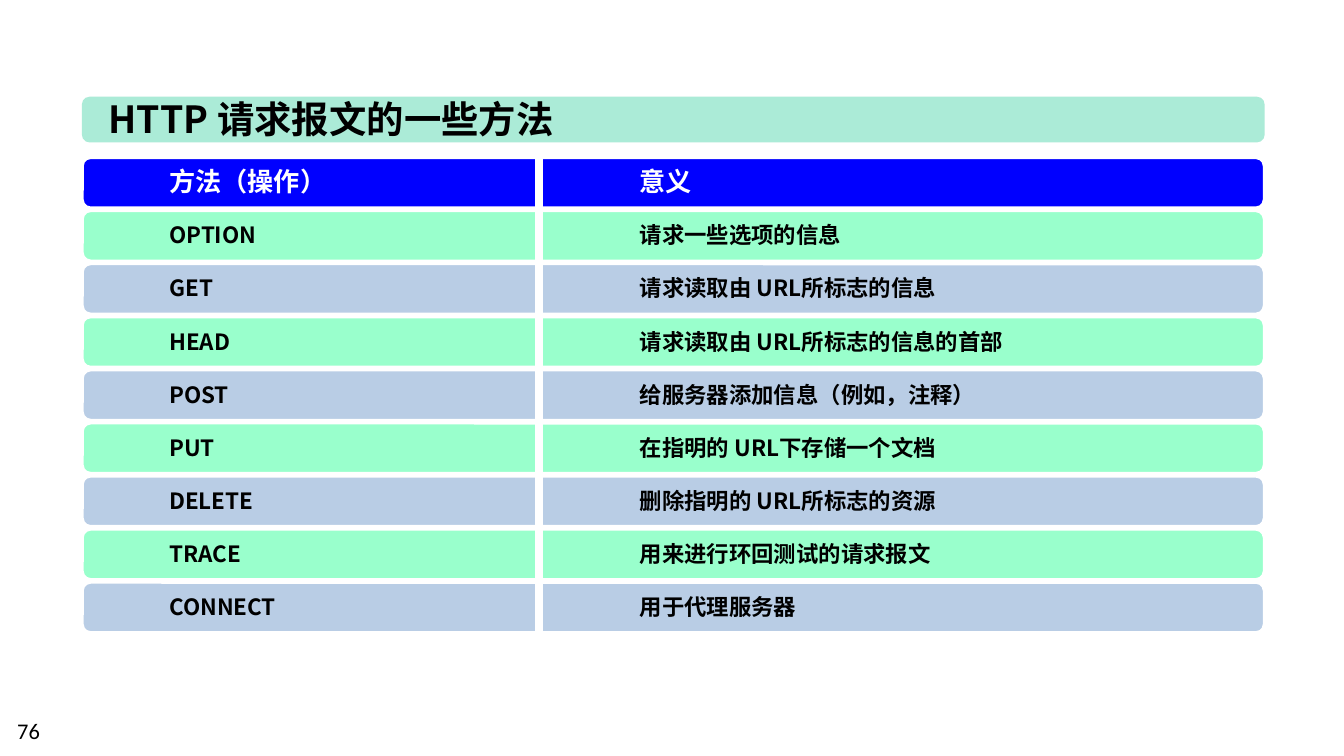
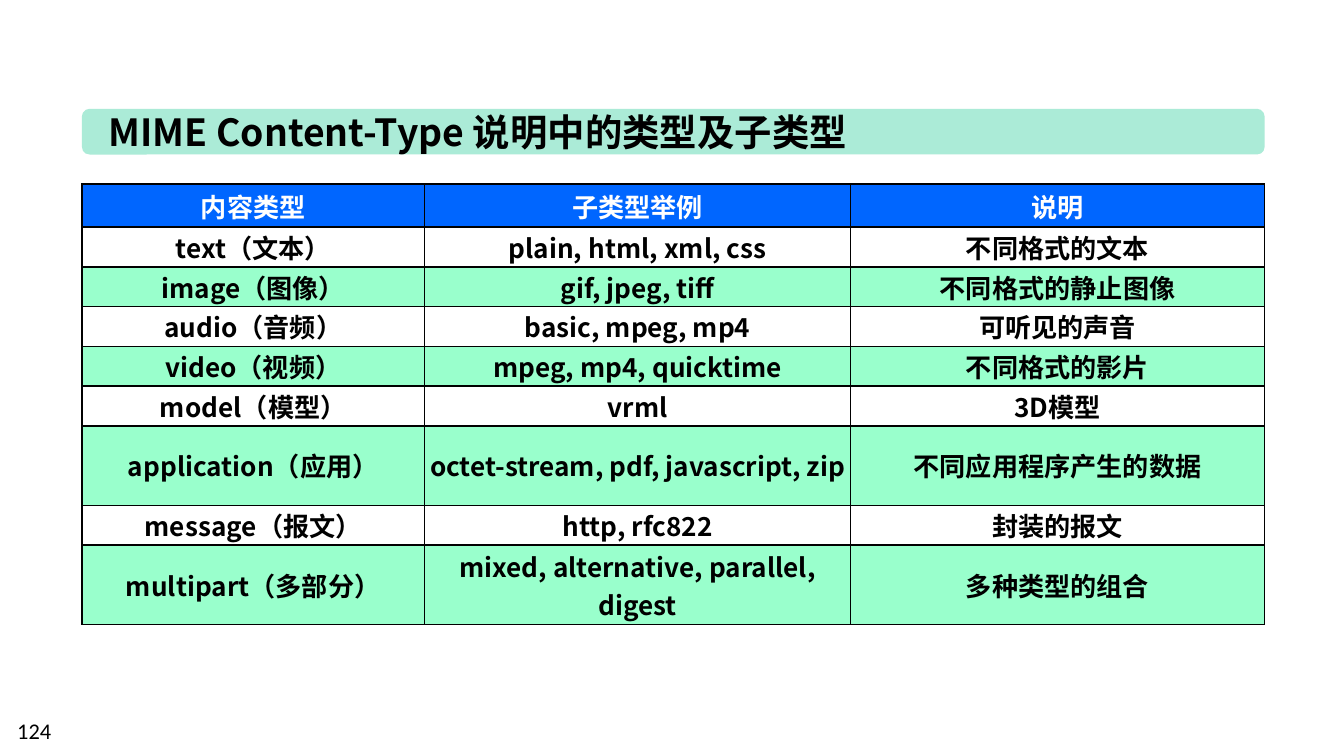
from dataclasses import dataclass

from lxml import etree
from pptx import Presentation
from pptx.dml.color import RGBColor
from pptx.enum import shapes, text
from pptx.oxml import ns
from pptx.util import Inches, Pt

# Content
METHODS = {
    "title": "HTTP 请求报文的一些方法",
    "page": "76",
    "rows": [
        ("方法（操作）", "意义"),
        ("OPTION", "请求一些选项的信息"),
        ("GET", "请求读取由 URL所标志的信息"),
        ("HEAD", "请求读取由 URL所标志的信息的首部"),
        ("POST", "给服务器添加信息（例如，注释）"),
        ("PUT", "在指明的 URL下存储一个文档"),
        ("DELETE", "删除指明的 URL所标志的资源"),
        ("TRACE", "用来进行环回测试的请求报文"),
        ("CONNECT", "用于代理服务器"),
    ],
}
TYPES = {
    "title": "MIME Content-Type 说明中的类型及子类型",
    "page": "124",
    "rows": [
        ("内容类型", "子类型举例", "说明"),
        ("text（文本）", "plain, html, xml, css", "不同格式的文本"),
        ("image（图像）", "gif, jpeg, tiff", "不同格式的静止图像"),
        ("audio（音频）", "basic, mpeg, mp4", "可听见的声音"),
        ("video（视频）", "mpeg, mp4, quicktime", "不同格式的影片"),
        ("model（模型）", "vrml", "3D模型"),
        ("application（应用）", "octet-stream, pdf, javascript, zip",
         "不同应用程序产生的数据"),
        ("message（报文）", "http, rfc822", "封装的报文"),
        ("multipart（多部分）", "mixed, alternative, parallel, digest",
         "多种类型的组合"),
    ],
}


@dataclass(frozen=True)
class Theme:
    font: str = "Noto Sans CJK SC"
    foot: str = "Calibri"
    black: str = "000000"
    white: str = "FFFFFF"
    band: str = "ABEBD7"
    head: str = "0000FF"
    top: str = "0066FF"
    mint: str = "99FFCC"
    blue: str = "B9CDE5"
    big: int = 20
    mid: int = 14
    small: int = 12


T = Theme()
LEFT, WIDTH = 0.61, 8.8
# Rows of bars: first and last top set the pitch
ROW_TOP, ROW_END, ROW_H = 1.17, 4.33, 0.38
PITCH = (ROW_END - ROW_TOP) / (len(METHODS["rows"]) - 1)
TABS = (0.58, 4.08)
# Table: a tall row is two lines high
COLS = (2.55, 3.17, 3.08)
GRID_H, HEAD_H = 3.28, 0.32
LINES = (1, 1, 1, 1, 1, 2, 1, 2)
LINE_H = (GRID_H - HEAD_H) / sum(LINES)


def rgb(code):
    return RGBColor.from_string(code)


def style(para, size, color=T.black, font=T.font, bold=True):
    for run in para.runs:
        run.font.size, run.font.bold, run.font.name = Pt(size), bold, font
        run.font.color.rgb = rgb(color)
        east = etree.SubElement(run.font._element, ns.qn("a:ea"))
        east.set("typeface", font)


def add_bar(slide, top, high, fill, edge=None):
    bar = slide.shapes.add_shape(
        shapes.MSO_SHAPE.ROUNDED_RECTANGLE,
        Inches(LEFT), Inches(top), Inches(WIDTH), Inches(high))
    bar.shadow.inherit = False
    bar.fill.solid()
    bar.fill.fore_color.rgb = rgb(fill)
    if edge:
        bar.line.color.rgb = rgb(edge)
        bar.line.width = Pt(2)
    else:
        bar.line.fill.background()


def add_text(slide, words, left, top, wide, high, wrap=True):
    box = slide.shapes.add_textbox(
        Inches(left), Inches(top), Inches(wide), Inches(high))
    frame = box.text_frame
    frame.word_wrap = wrap
    frame.text = words
    return frame


def add_page(deck, data, top, wide):
    """Blank slide with the shared title band and page number."""
    slide = deck.slides.add_slide(deck.slide_layouts[6])
    add_bar(slide, top, 0.34, T.band)
    title = add_text(slide, data["title"], 0.71, top - 0.05, wide, 0.44, False)
    title.auto_size = text.MSO_AUTO_SIZE.SHAPE_TO_FIT_TEXT
    style(title.paragraphs[0], T.big)
    foot = add_text(slide, data["page"], 0.03, 5.29, 2.33, 0.3)
    style(foot.paragraphs[0], T.small, font=T.foot, bold=False)
    return slide


def set_tabs(para):
    stops = etree.SubElement(para._p.get_or_add_pPr(), ns.qn("a:tabLst"))
    for pos in TABS:
        etree.SubElement(stops, ns.qn("a:tab"), pos=str(Inches(pos)), algn="l")


def add_row(slide, num, pair):
    top = ROW_TOP + num * PITCH
    fill = T.head if num == 0 else (T.blue, T.mint)[num % 2]
    add_bar(slide, top, ROW_H, fill, T.white)
    frame = add_text(slide, "\t" + "\t".join(pair),
                     LEFT + 0.02, top + 0.02, WIDTH - 0.04, 0.35)
    frame.margin_left = frame.margin_right = Inches(0.05)
    frame.margin_top = frame.margin_bottom = Inches(0.05)
    frame.vertical_anchor = text.MSO_ANCHOR.MIDDLE
    para = frame.paragraphs[0]
    set_tabs(para)
    para.line_spacing = 0.9
    if num == 0:
        style(para, T.mid, T.white)
    else:
        style(para, T.small)


def add_split(slide):
    """White line that parts the two columns."""
    line = slide.shapes.add_connector(
        shapes.MSO_CONNECTOR.STRAIGHT,
        Inches(4.01), Inches(1.12), Inches(4.01), Inches(4.82))
    line.line.color.rgb = rgb(T.white)
    line.line.width = Pt(4.5)
    etree.SubElement(line._element.spPr, ns.qn("a:effectLst"))


def set_edge(cell):
    props = cell._tc.get_or_add_tcPr()
    for side in ("lnL", "lnR", "lnT", "lnB"):
        line = etree.SubElement(props, ns.qn("a:" + side), w=str(Pt(1)))
        fill = etree.SubElement(line, ns.qn("a:solidFill"))
        etree.SubElement(fill, ns.qn("a:srgbClr"), val=T.black)


def fill_cell(cell, words, num):
    set_edge(cell)
    if num % 2:
        cell.fill.background()
    else:
        cell.fill.solid()
        cell.fill.fore_color.rgb = rgb(T.mint if num else T.top)
    cell.margin_left = cell.margin_right = Inches(0.03)
    cell.margin_top = cell.margin_bottom = 0
    cell.vertical_anchor = text.MSO_ANCHOR.MIDDLE
    cell.text_frame.text = words
    para = cell.text_frame.paragraphs[0]
    para.alignment = text.PP_ALIGN.CENTER
    style(para, T.mid, T.black if num else T.white)


def add_grid(slide, rows):
    highs = [HEAD_H] + [count * LINE_H for count in LINES]
    grid = slide.shapes.add_table(
        len(rows), len(COLS), Inches(LEFT), Inches(1.37),
        Inches(WIDTH), Inches(GRID_H)).table
    grid.first_row = grid.horz_banding = False
    for col, wide in zip(grid.columns, COLS):
        col.width = Inches(wide)
    for num, (row, high) in enumerate(zip(rows, highs)):
        grid.rows[num].height = Inches(high)
        for col, words in enumerate(row):
            fill_cell(grid.cell(num, col), words, num)


def main():
    deck = Presentation()
    deck.slide_width = Inches(10)
    deck.slide_height = deck.slide_width * 9 // 16

    # Request methods
    slide = add_page(deck, METHODS, 0.72, 3.58)
    for num, pair in enumerate(METHODS["rows"]):
        add_row(slide, num, pair)
    add_split(slide)

    # Content types
    slide = add_page(deck, TYPES, 0.81, 5.92)
    add_grid(slide, TYPES["rows"])

    deck.save("out.pptx")


if __name__ == "__main__":
    main()
